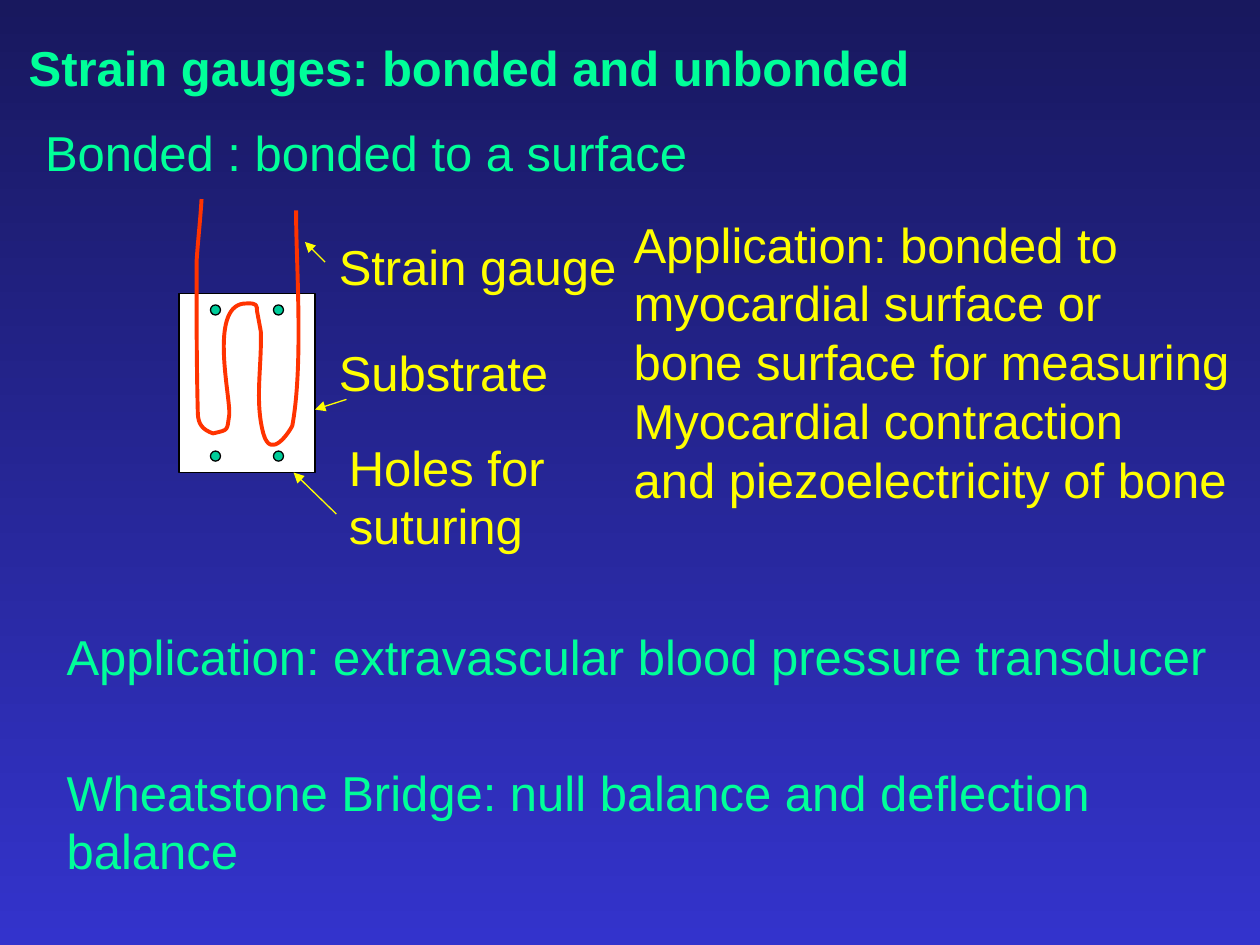
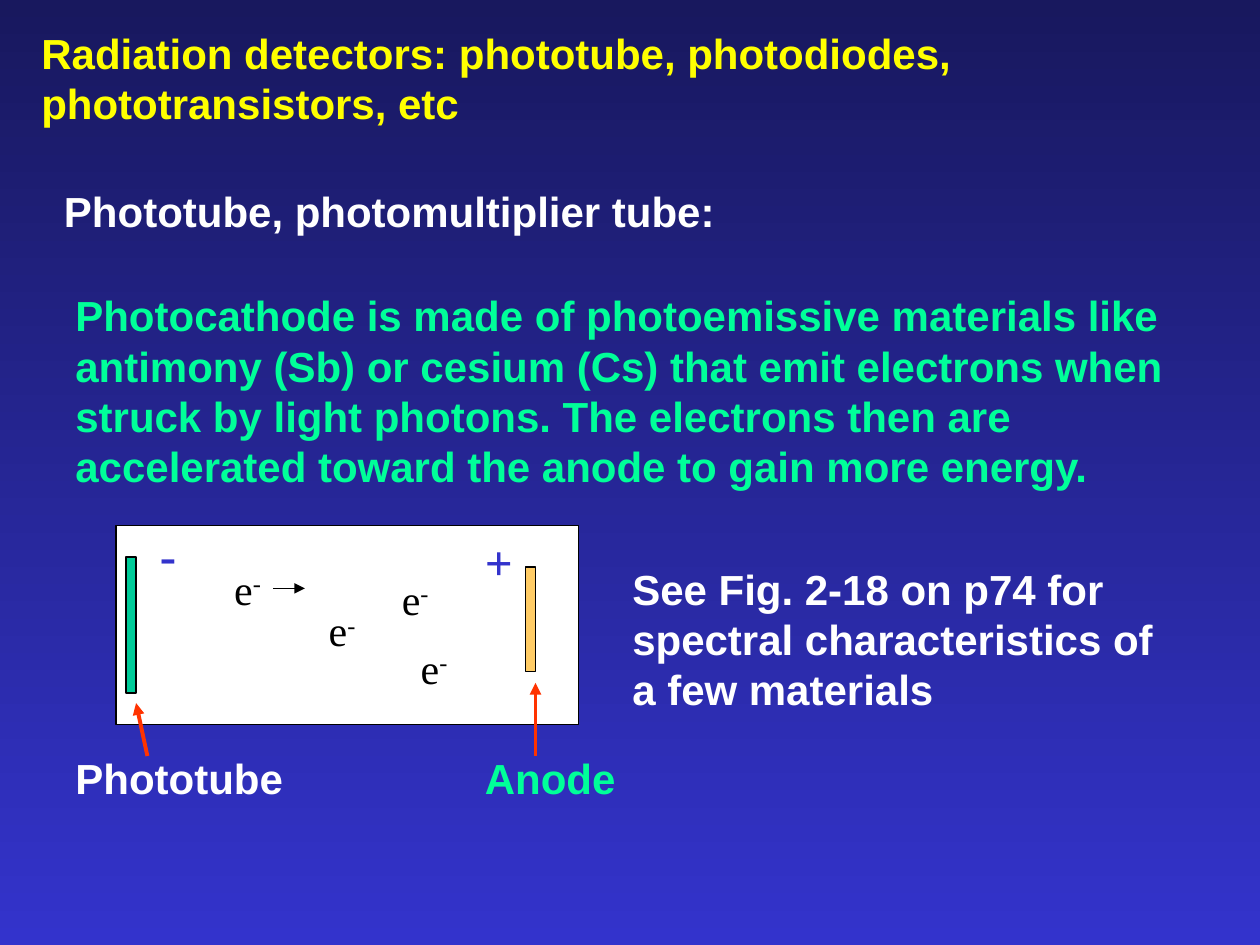
from dataclasses import dataclass
from itertools import product

from lxml import etree
from pptx import Presentation
from pptx.dml.color import RGBColor
from pptx.enum.shapes import MSO_CONNECTOR, MSO_SHAPE
from pptx.enum.text import MSO_AUTO_SIZE
from pptx.oxml.ns import qn
from pptx.util import Pt

RECT, OVAL = MSO_SHAPE.RECTANGLE, MSO_SHAPE.OVAL
STRAIGHT = MSO_CONNECTOR.STRAIGHT
FIT = MSO_AUTO_SIZE.SHAPE_TO_FIT_TEXT
PX = 9144  # 100 px to the inch


@dataclass(frozen=True)
class Theme:
    night: str = "18185E"
    blue: str = "3333CC"
    mint: str = "00FF99"
    yellow: str = "FFFF00"
    white: str = "FFFFFF"
    black: str = "000000"
    red: str = "FF3300"
    teal: str = "00CC99"
    amber: str = "FFCC66"
    sans: str = "Arial"
    serif: str = "Times New Roman"
    big: int = 28
    mid: int = 24
    thin: float = 0.75
    thick: float = 2.25
    pitch: float = 1.67  # line height in px per point of type
    pad: int = 10  # top and bottom insets together
    slack: int = 4  # spare width that keeps each line whole


T = Theme()

# Type styles: font, size, colour, bold
STYLES = {
    "title": (T.sans, T.big, T.mint, True),
    "body": (T.sans, T.big, T.mint, False),
    "label": (T.sans, T.big, T.yellow, False),
    "head": (T.sans, T.mid, T.yellow, True),
    "note": (T.sans, T.mid, T.white, True),
    "fact": (T.sans, T.mid, T.mint, True),
    "sign": (T.serif, T.big, T.blue, True),
    "charge": (T.serif, T.mid, T.black, False),
}

# Strain gauges: left, top, width, style, lines
GAUGE_TEXT = [
    (13, 25, 730, "title", ["Strain gauges: bonded and unbonded"]),
    (26, 92, 540, "body", ["Bonded : bonded to a surface"]),
    (259, 183, 251, "label", ["Strain gauge"]),
    (259, 267, 197, "label", ["Substrate"]),
    (267, 342, 186, "label", ["Holes for", "suturing"]),
    (493, 165, 501, "label", [
        "Application: bonded to",
        "myocardial surface or",
        "bone surface for measuring",
        "Myocardial contraction",
        "and piezoelectricity of bone",
    ]),
    (43, 492, 935, "body",
     ["Application: extravascular blood pressure transducer"]),
    (43, 600, 831, "body",
     ["Wheatstone Bridge: null balance and deflection", "balance"]),
]
BASE = (142, 233, 108, 142)
HOLE = 8
HOLES = list(product((167, 217), (242, 358)))
# Wire: a start point, then three Bezier points a curve
WIRE = [
    (160, 158),
    (159, 175), (157, 192), (156, 208),
    (156, 248), (156, 288), (157, 327),
    (157, 337), (161, 341), (169, 344),
    (182, 341), (180, 342), (182, 329),
    (183, 315), (166, 245), (193, 241),
    (196, 241), (200, 240), (203, 242),
    (204, 243), (204, 245), (204, 247),
    (205, 252), (207, 263), (207, 263),
    (208, 290), (202, 318), (209, 344),
    (215, 366), (230, 342), (232, 338),
    (241, 289), (235, 209), (235, 167),
]
POINTERS = [
    (258, 208, 242, 192),
    (275, 317, 250, 325),
    (267, 408, 233, 375),
]

# Radiation detectors
TUBE_TEXT = [
    (23, 17, 742, "head", ["Radiation detectors: phototube, photodiodes,",
                           "phototransistors, etc"]),
    (41, 142, 536, "note", ["Phototube, photomultiplier tube:"]),
    (50, 225, 892, "fact", [
        "Photocathode is made of photoemissive materials like",
        "antimony (Sb) or cesium (Cs) that emit electrons when",
        "struck by light photons. The electrons then are",
        "accelerated toward the anode to gain more energy.",
    ]),
    (50, 592, 185, "note", ["Phototube"]),
    (375, 592, 123, "fact", ["Anode"]),
    (117, 411, 33, "sign", ["-"]),
    (375, 417, 42, "sign", ["+"]),
    (492, 442, 433, "note", ["See Fig. 2-18 on p74 for",
                             "spectral characteristics of",
                             "a few materials"]),
]
PLATES = [
    ((92, 417, 367, 158), T.white),
    ((100, 442, 8, 108), T.teal),
    ((417, 450, 8, 83), T.amber),
]
LEADS = [(117, 600, 108, 558), (425, 600, 425, 542)]
PATH = (217, 467, 242, 467)
CHARGES = [(176, 442), (251, 475), (309, 450), (324, 505)]


def rgb(tone):
    return RGBColor.from_string(tone)


def emu(*nums):
    return [n * PX for n in nums]


def stroke(line, tone, width):
    line.color.rgb = rgb(tone)
    line.width = Pt(width)


def add_text(slide, x, y, width, style, lines):
    """Each line is a string, or a tuple of base and superscript."""
    face, size, tone, bold = STYLES[style]
    high = round(T.pad + len(lines) * size * T.pitch)
    box = slide.shapes.add_textbox(*emu(x, y, width + T.slack, high))
    frame = box.text_frame
    frame.word_wrap = True
    frame.auto_size = FIT
    for i, line in enumerate(lines):
        para = frame.add_paragraph() if i else frame.paragraphs[0]
        font = para.font
        font.name, font.size, font.bold = face, Pt(size), bold
        font.color.rgb = rgb(tone)
        base, *sup = [line] if isinstance(line, str) else line
        para.add_run().text = base
        for mark in sup:
            run = para.add_run()
            run.text = mark
            run._r.get_or_add_rPr().set("baseline", "30000")


def add_form(slide, kind, box, tone):
    form = slide.shapes.add_shape(kind, *emu(*box))
    form.shadow.inherit = False
    form.fill.solid()
    form.fill.fore_color.rgb = rgb(tone)
    stroke(form.line, T.black, T.thin)


def add_arrow(slide, ends, tone, width):
    arrow = slide.shapes.add_connector(STRAIGHT, *emu(*ends))
    stroke(arrow.line, tone, width)
    props = arrow._element.spPr
    etree.SubElement(props.find(qn("a:ln")), qn("a:tailEnd"), type="triangle")
    etree.SubElement(props, qn("a:effectLst"))


def add_curve(slide, points, tone, width):
    pen = slide.shapes.build_freeform(*points[0], scale=PX)
    pen.add_line_segments(points[1:], close=False)
    curve = pen.convert_to_shape()
    curve.shadow.inherit = False
    curve.fill.background()
    stroke(curve.line, tone, width)
    # Join every three line points into one Bezier curve
    steps = list(curve._element.iter(qn("a:lnTo")))
    for i in range(0, len(steps), 3):
        trio = steps[i:i + 3]
        bend = etree.SubElement(trio[0].getparent(), qn("a:cubicBezTo"))
        for step in trio:
            bend.append(step[0])
            step.getparent().remove(step)


def set_back(master):
    fill = master.background.fill
    fill.gradient()
    fill.gradient_angle = 270
    for stop, tone in zip(fill.gradient_stops, (T.night, T.blue)):
        stop.color.rgb = rgb(tone)


def draw_gauge(slide):
    add_form(slide, RECT, BASE, T.white)
    add_curve(slide, WIRE, T.red, T.thick)
    for x, y in HOLES:
        add_form(slide, OVAL, (x, y, HOLE, HOLE), T.teal)
    for item in GAUGE_TEXT:
        add_text(slide, *item)
    for ends in POINTERS:
        add_arrow(slide, ends, T.yellow, T.thin)


def draw_tube(slide):
    for box, tone in PLATES:
        add_form(slide, RECT, box, tone)
    for item in TUBE_TEXT:
        add_text(slide, *item)
    for ends in LEADS:
        add_arrow(slide, ends, T.red, T.thick)
    for x, y in CHARGES:
        add_text(slide, x, y, 41, "charge", [("e", "-")])
    add_arrow(slide, PATH, T.black, T.thin)


def main():
    deck = Presentation()
    deck.slide_width, deck.slide_height = emu(1000, 750)
    set_back(deck.slide_master)
    for draw in (draw_gauge, draw_tube):
        draw(deck.slides.add_slide(deck.slide_layouts[6]))
    deck.save("out.pptx")


if __name__ == "__main__":
    main()
